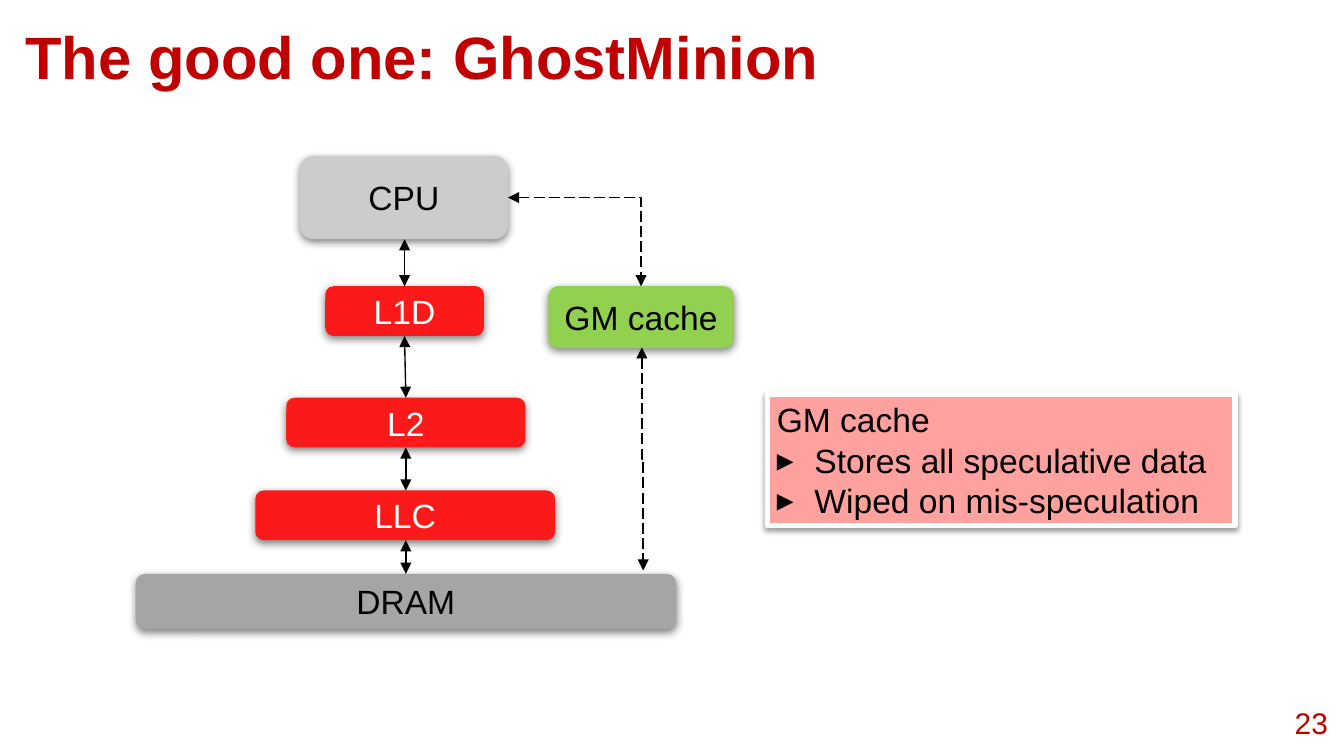
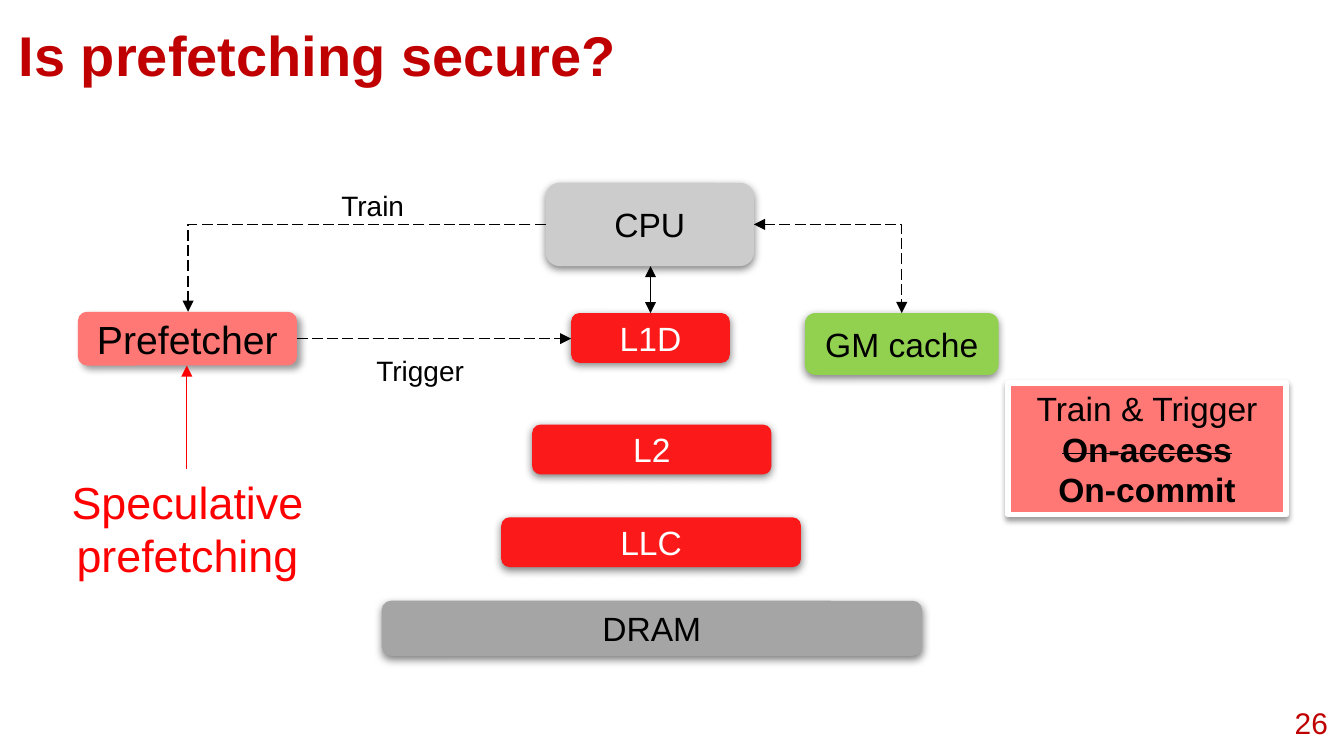
from lxml import etree
from pptx import Presentation
from pptx import util as u
from pptx.dml.color import RGBColor
from pptx.enum import dml, shapes, text
from pptx.oxml.ns import qn

PX = 9144
HUES = {
    "title": "C00000", "red": "FC1919", "pure": "FF0000", "green": "92D050",
    "rose": "FF7875", "pale": "FFA19F", "light": "CCCCCC", "mid": "A5A5A5",
    "black": "000000", "white": "FFFFFF",
}
SOFT = (50, 4.5, 1.5, 90)
CARD = (38, 3.1, 1.6, 90)
SLANT = (40, 4, 3, 45)
LEFT, MID, RIGHT = text.PP_ALIGN.LEFT, text.PP_ALIGN.CENTER, text.PP_ALIGN.RIGHT
ROUND, RECT = shapes.MSO_SHAPE.ROUNDED_RECTANGLE, shapes.MSO_SHAPE.RECTANGLE


def box(page, words, area, size, hue="black", align=MID, form=None, fill=None,
        shade=None, edge=None, pad=4, mid=False, bold=False, grow=False):
    area = [n * PX for n in area]
    if form is None:
        item = page.shapes.add_textbox(*area)
    else:
        item = page.shapes.add_shape(form, *area)
        item.fill.solid()
        item.fill.fore_color.rgb = RGBColor.from_string(HUES[fill])
        if edge:
            item.line.color.rgb = RGBColor.from_string(HUES[edge])
            item.line.width = u.Pt(3)
        else:
            item.line.fill.background()
        item.shadow.inherit = False
        alpha, blur, dist, turn = shade
        glow = etree.SubElement(
            item._element.spPr.find(qn("a:effectLst")), qn("a:outerShdw"),
            blurRad=str(u.Pt(blur)), dist=str(u.Pt(dist)),
            dir=str(turn * 60000), algn="ctr", rotWithShape="0")
        tint = etree.SubElement(glow, qn("a:srgbClr"), val=HUES["black"])
        etree.SubElement(tint, qn("a:alpha"), val=str(alpha * 1000))
    frame = item.text_frame
    frame.word_wrap = True
    if grow:
        frame.auto_size = text.MSO_AUTO_SIZE.SHAPE_TO_FIT_TEXT
    frame.margin_left = frame.margin_right = 7 * PX
    frame.margin_top = frame.margin_bottom = pad * PX
    frame.vertical_anchor = text.MSO_ANCHOR.MIDDLE if mid else text.MSO_ANCHOR.TOP
    frame.text = words
    for para in frame.paragraphs:
        para.alignment = align
        for run in para.runs:
            run.font.name = "Arial"
            run.font.size = u.Pt(size)
            run.font.bold = bold
            run.font.color.rgb = RGBColor.from_string(HUES[hue])
    return frame


def link(page, ends, geom="line", hue="black", dash=False, both=True):
    kind = shapes.MSO_CONNECTOR.STRAIGHT if geom == "line" else shapes.MSO_CONNECTOR.ELBOW
    item = page.shapes.add_connector(kind, *[n * PX for n in ends])
    item.line.color.rgb = RGBColor.from_string(HUES[hue])
    item.line.width = u.Pt(0.75)
    if dash:
        item.line.dash_style = dml.MSO_LINE.LONG_DASH
    props = item._element.spPr
    props.find(qn("a:prstGeom")).set("prst", geom)
    for tag in ("a:headEnd", "a:tailEnd") if both else ("a:tailEnd",):
        etree.SubElement(props.find(qn("a:ln")), qn(tag), type="triangle")
    etree.SubElement(props, qn("a:effectLst"))
    return props


deck = Presentation()
deck.slide_width, deck.slide_height = 1000 * PX, 1125 * PX // 2

heads = [
    ("The good one: GhostMinion", (12, 8, 932, 63), 32, "23", 0, 0, (408, 213, 138, 46)),
    ("Is prefetching secure?", (7, 8, 921, 69), 30, "26", 183, 20, (599, 233, 144, 46)),
]
stack = [
    ("L2", 213, 296, 178, 37, "red", "white"),
    ("LLC", 190, 365, 223, 37, "red", "white"),
    ("DRAM", 101, 427, 402, 41, "mid", "black"),
    ("CPU", 223, 116, 155, 62, "light", "black"),
    ("L1D", 242, 213, 118, 37, "red", "white"),
]
pages = []
for name, area, size, num, dx, dy, cache in heads:
    page = deck.slides.add_slide(deck.slide_layouts[6])
    pages.append(page)
    box(page, name, area, size, "title", LEFT, pad=7, bold=True)
    box(page, num, (925, 516, 70, 43), 16, "title", RIGHT, pad=7, mid=True)
    for label, x, y, w, h, fill, hue in stack:
        box(page, label, (x + dx, y + dy, w, h), 18, hue,
            form=ROUND, fill=fill, shade=SOFT, mid=True)
    link(page, (301 + dx, 178 + dy, 301 + dx, 213 + dy))
    box(page, "GM cache", cache, 18, form=ROUND, fill="green", shade=SOFT, mid=True)
    link(page, (378 + dx, 147 + dy, cache[0] + cache[2] // 2, cache[1]),
         "bentConnector2", dash=True)

ghost, fetch = pages

for ends in [(301, 250, 302, 296), (302, 333, 302, 365), (302, 402, 302, 427)]:
    link(ghost, ends)
drop = link(ghost, (561, 341, 395, 342), "bentConnector3", dash=True)
drop.find(qn("a:xfrm")).set("rot", str(270 * 60000))

note = box(ghost, "GM cache\nStores all speculative data\nWiped on mis-speculation",
           (571, 293, 348, 98), 18, align=LEFT, form=RECT, fill="pale",
           shade=CARD, edge="white", grow=True)
for para in note.paragraphs[1:]:
    props = para._p.get_or_add_pPr()
    props.set("marL", str(28 * PX))
    props.set("indent", str(-28 * PX))
    tint = etree.SubElement(props, qn("a:buClr"))
    etree.SubElement(tint, qn("a:srgbClr"), val=HUES["black"])
    etree.SubElement(props, qn("a:buFont"), typeface="Arial")
    etree.SubElement(props, qn("a:buChar"), char="▸")

box(fetch, "Prefetcher", (58, 232, 163, 40), 21, form=ROUND, fill="rose",
    shade=SLANT, mid=True)
link(fetch, (406, 167, 140, 232), "bentConnector2", dash=True, both=False)
link(fetch, (139, 349, 139, 272), hue="pure", both=False)
link(fetch, (221, 252, 425, 252), dash=True, both=False)
box(fetch, "Speculative prefetching", (23, 349, 233, 88), 24, "pure", grow=True)
box(fetch, "Train", (247, 136, 64, 33), 15, align=LEFT, grow=True)
box(fetch, "Trigger", (273, 259, 82, 33), 15, align=LEFT, grow=True)

note = box(fetch, "Train & Trigger\nOn-access\nOn-commit", (750, 285, 207, 98), 18,
           form=RECT, fill="rose", shade=CARD, edge="white", grow=True)
for para in note.paragraphs[1:]:
    para.runs[0].font.bold = True
note.paragraphs[1].runs[0]._r.get_or_add_rPr().set("strike", "sngStrike")

deck.save("out.pptx")
